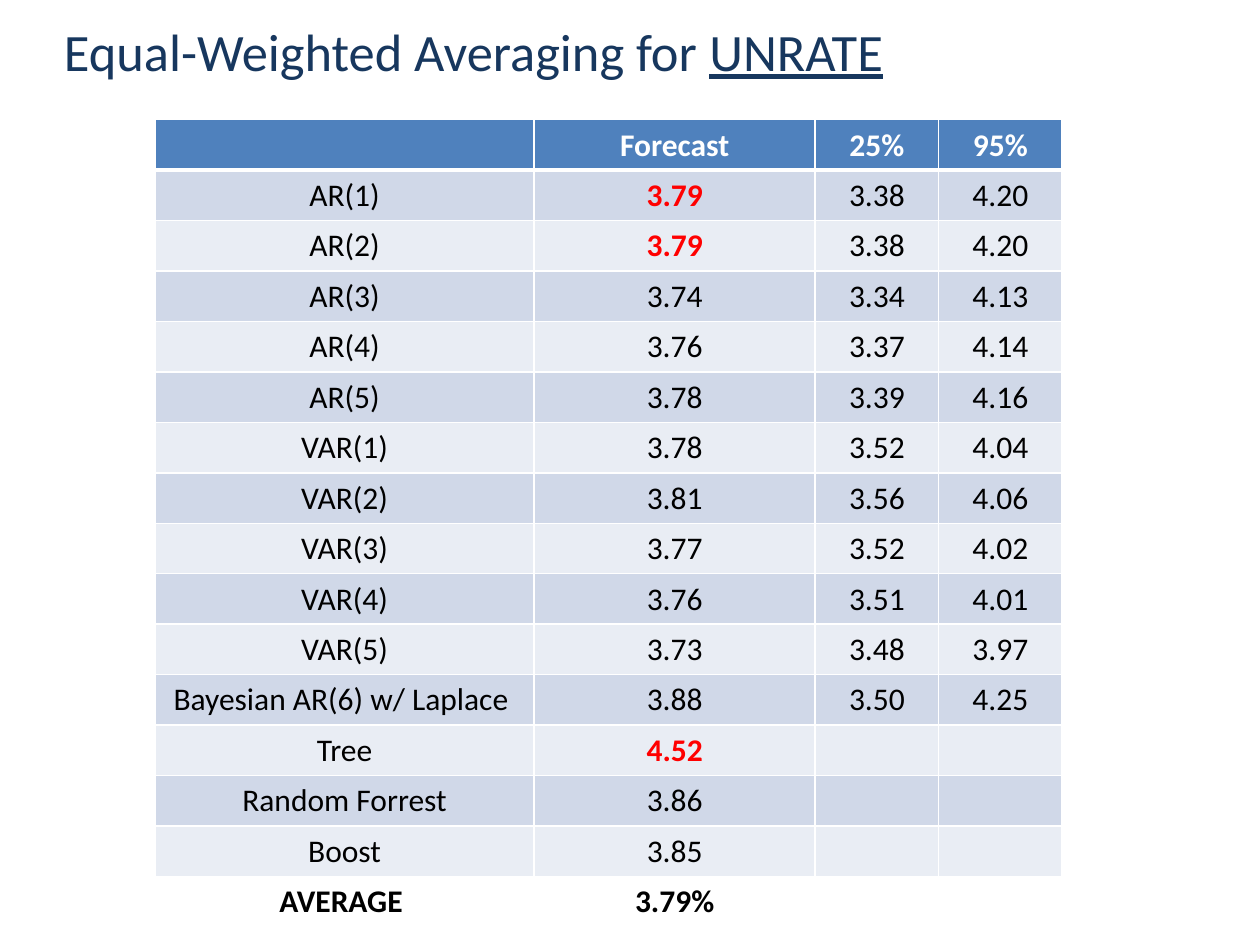
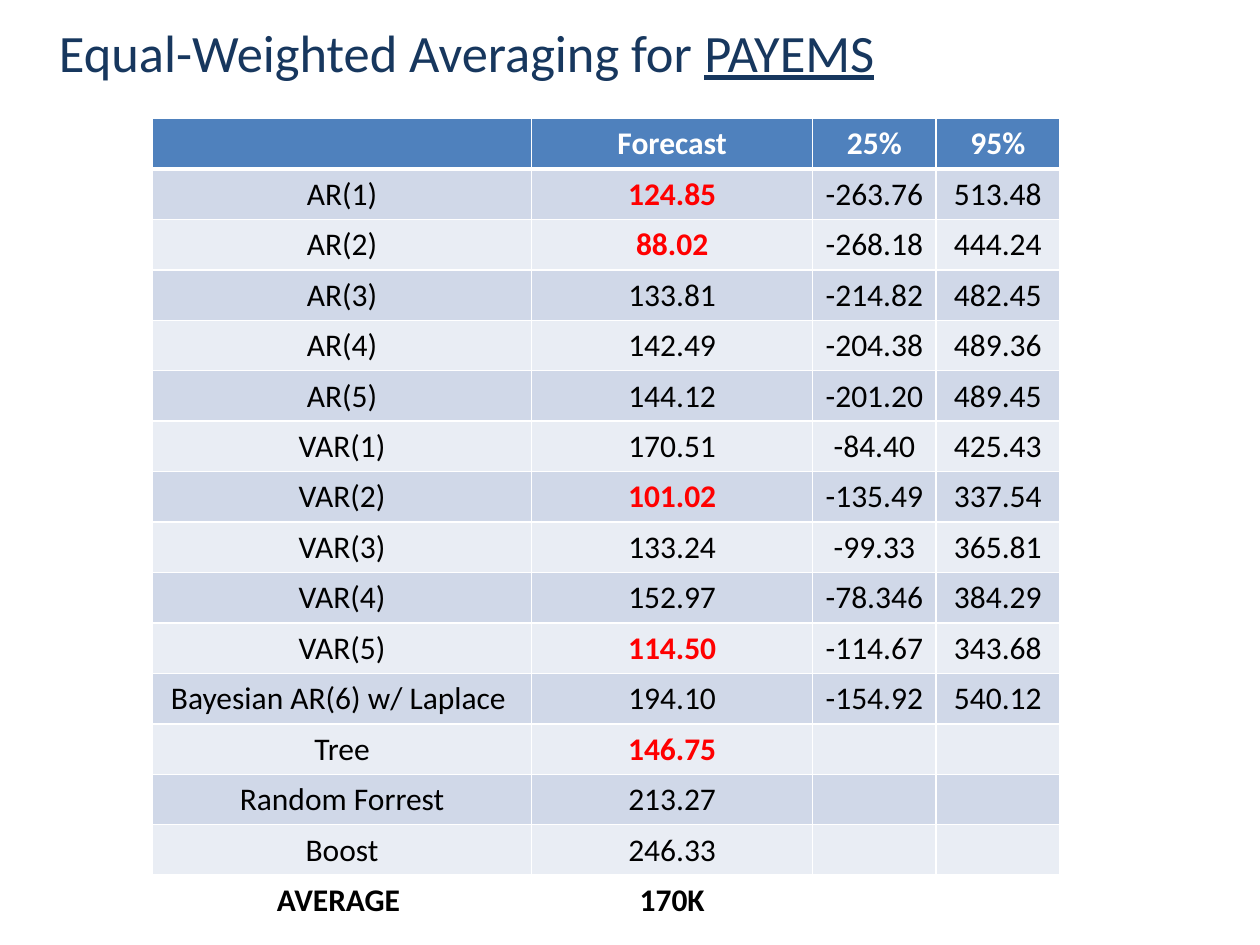
from dataclasses import dataclass

from lxml import etree
from pptx import Presentation
from pptx.dml.color import RGBColor
from pptx.enum.text import MSO_ANCHOR, PP_ALIGN
from pptx.oxml.ns import qn
from pptx.util import Inches, Pt

MIDDLE, CENTER = MSO_ANCHOR.MIDDLE, PP_ALIGN.CENTER


@dataclass(frozen=True)
class Theme:
    font: str = "Calibri"
    title_size: int = 30
    cell_size: int = 18
    title: str = "17375E"
    head: str = "4F81BD"
    bands: tuple = ("D0D8E8", "E9EDF4")
    white: str = "FFFFFF"
    ink: str = "000000"
    mark: str = "FF0000"
    rule: int = 1
    head_rule: int = 3


T = Theme()

# Grid: 100 columns by 75 rows on the slide
COLS, ROWS = 100, 75
UNIT = Inches(10) // COLS
TABLE_SIZE = (72, 64)
COLUMN_WIDTHS = (30.1, 22.3, 9.8, 9.8)

HEADER = ("", "Forecast", "25%", "95%")
MODELS = ([f"AR({n})" for n in range(1, 6)] + [f"VAR({n})" for n in range(1, 6)]
          + ["Bayesian AR(6) w/ Laplace ", "Tree", "Random Forrest", "Boost"])

# Forecast, lower and upper bound for each model, in the order of MODELS
UNRATE = [
    ("3.79", "3.38", "4.20"), ("3.79", "3.38", "4.20"), ("3.74", "3.34", "4.13"),
    ("3.76", "3.37", "4.14"), ("3.78", "3.39", "4.16"), ("3.78", "3.52", "4.04"),
    ("3.81", "3.56", "4.06"), ("3.77", "3.52", "4.02"), ("3.76", "3.51", "4.01"),
    ("3.73", "3.48", "3.97"), ("3.88", "3.50", "4.25"),
    ("4.52", "", ""), ("3.86", "", ""), ("3.85", "", ""),
]
PAYEMS = [
    ("124.85", "-263.76", "513.48"), ("88.02", "-268.18", "444.24"),
    ("133.81", "-214.82", "482.45"), ("142.49", "-204.38", "489.36"),
    ("144.12", "-201.20", "489.45"), ("170.51", "-84.40", "425.43"),
    ("101.02", "-135.49", "337.54"), ("133.24", "-99.33", "365.81"),
    ("152.97", "-78.346", "384.29"), ("114.50", "-114.67", "343.68"),
    ("194.10", "-154.92", "540.12"),
    ("146.75", "", ""), ("213.27", "", ""), ("246.33", "", ""),
]


def grid(*units):
    return [round(u * UNIT) for u in units]


def set_font(font, size, color, bold=False):
    font.name, font.size, font.bold = T.font, Pt(size), bold
    font.color.rgb = RGBColor.from_string(color)


def set_borders(cell, top, bottom):
    tc_pr = cell._tc.get_or_add_tcPr()
    for side, width in zip("LRTB", (T.rule, T.rule, top, bottom)):
        ln = etree.SubElement(tc_pr, qn(f"a:ln{side}"), w=str(Pt(width)))
        fill = etree.SubElement(ln, qn("a:solidFill"))
        etree.SubElement(fill, qn("a:srgbClr"), val=T.white)


def add_title(s, box, series):
    tf = s.shapes.add_textbox(*grid(*box)).text_frame
    tf.word_wrap, tf.vertical_anchor = True, MIDDLE
    p = tf.paragraphs[0]
    set_font(p.font, T.title_size, T.title)
    p.add_run().text = "Equal-Weighted Averaging for "
    r = p.add_run()
    r.text, r.font.underline = series, True


def style_cell(cell, text, fill, color, bold, top, bottom):
    set_borders(cell, top, bottom)
    if fill:
        cell.fill.solid()
        cell.fill.fore_color.rgb = RGBColor.from_string(fill)
    else:
        cell.fill.background()
    p = cell.text_frame.paragraphs[0]
    p.alignment = CENTER
    if text:
        p.add_run().text = text
    set_font(p.font, T.cell_size, color, bold)


def add_forecast_table(s, box, values, marked, average):
    rows = [HEADER, *((m, *v) for m, v in zip(MODELS, values)),
            ("AVERAGE ", average, "", "")]
    last = len(rows) - 1
    table = s.shapes.add_table(len(rows), len(HEADER), *grid(*box)).table
    table.first_row = table.horz_banding = False
    for column, width in zip(table.columns, grid(*COLUMN_WIDTHS)):
        column.width = width

    for i, row in enumerate(rows):
        # Header, banded model rows, then an unfilled average row
        if i == 0:
            fill, color = T.head, T.white
        else:
            fill, color = (None if i == last else T.bands[(i - 1) % 2]), T.ink
        top = T.head_rule if i == 1 else T.rule
        bottom = T.head_rule if i == 0 else T.rule
        for j, text in enumerate(row):
            hit = j == 1 and 0 < i < last and MODELS[i - 1] in marked
            style_cell(table.cell(i, j), text, fill, T.mark if hit else color,
                       hit or i in (0, last), top, bottom)


def add_forecast_slide(prs, series, title_box, table_at, values, marked, average):
    s = prs.slides.add_slide(prs.slide_layouts[6])
    add_title(s, title_box, series)
    add_forecast_table(s, (*table_at, *TABLE_SIZE), values, marked, average)


def main():
    prs = Presentation()
    prs.slide_width, prs.slide_height = grid(COLS, ROWS)
    add_forecast_slide(prs, "UNRATE", (4.1, -1.5, 88.3, 11), (12.3, 9.5),
                       UNRATE, {"AR(1)", "AR(2)", "Tree"}, "3.79%")
    add_forecast_slide(prs, "PAYEMS", (3.7, 0, 88.4, 8.1), (12.1, 9.4), PAYEMS,
                       {"AR(1)", "AR(2)", "VAR(2)", "VAR(5)", "Tree"}, "170K")
    prs.save("out.pptx")


if __name__ == "__main__":
    main()
